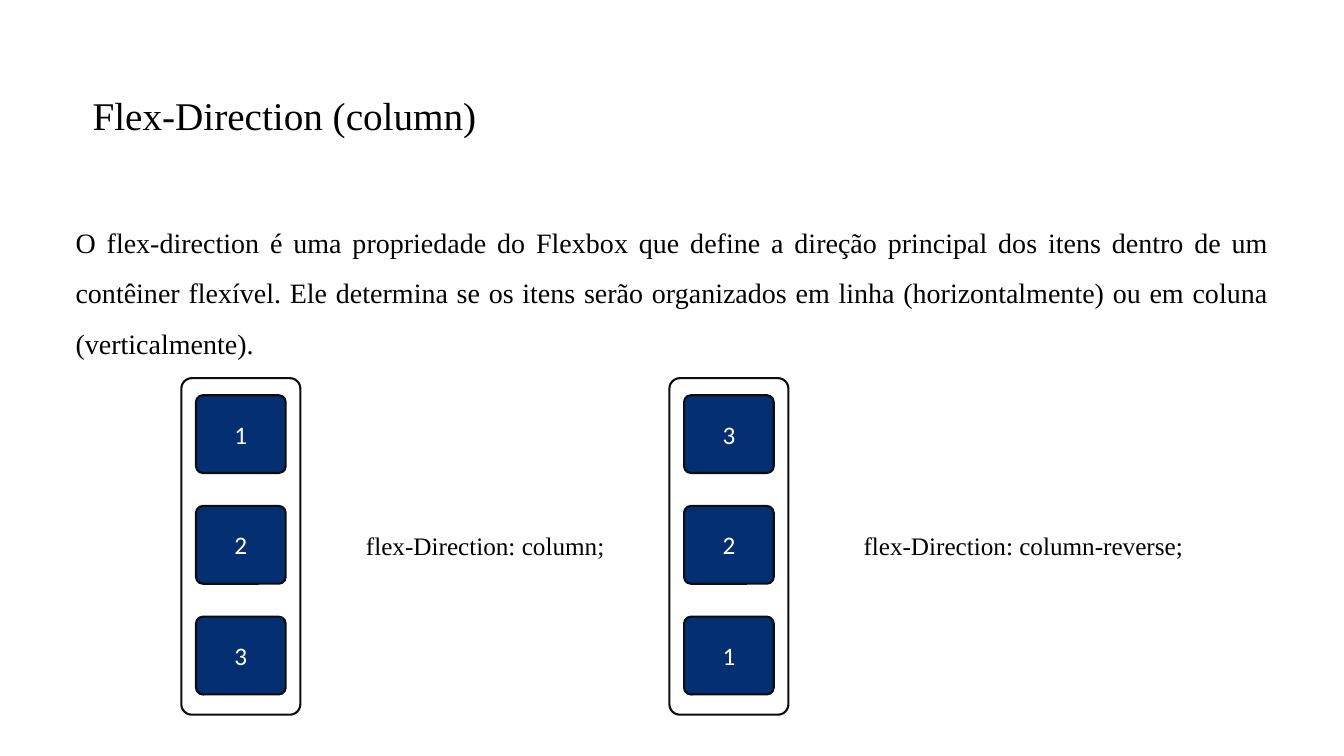
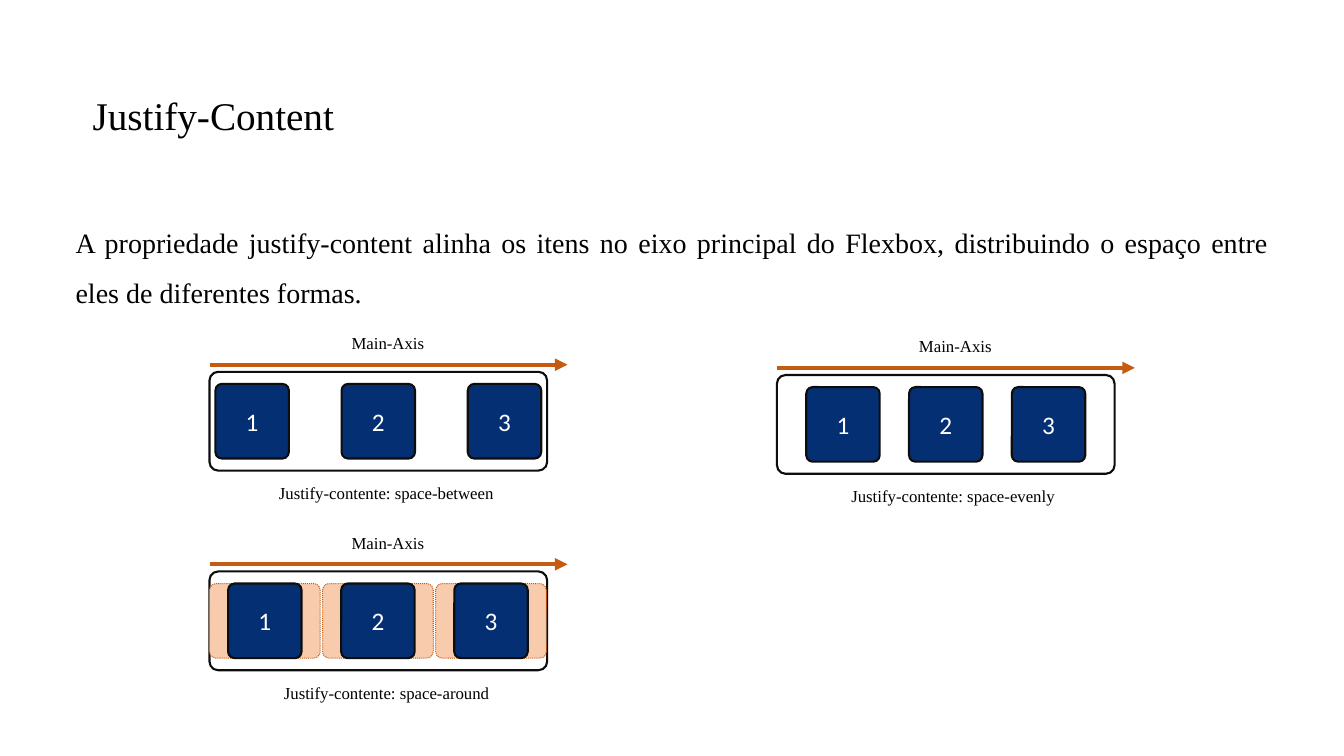
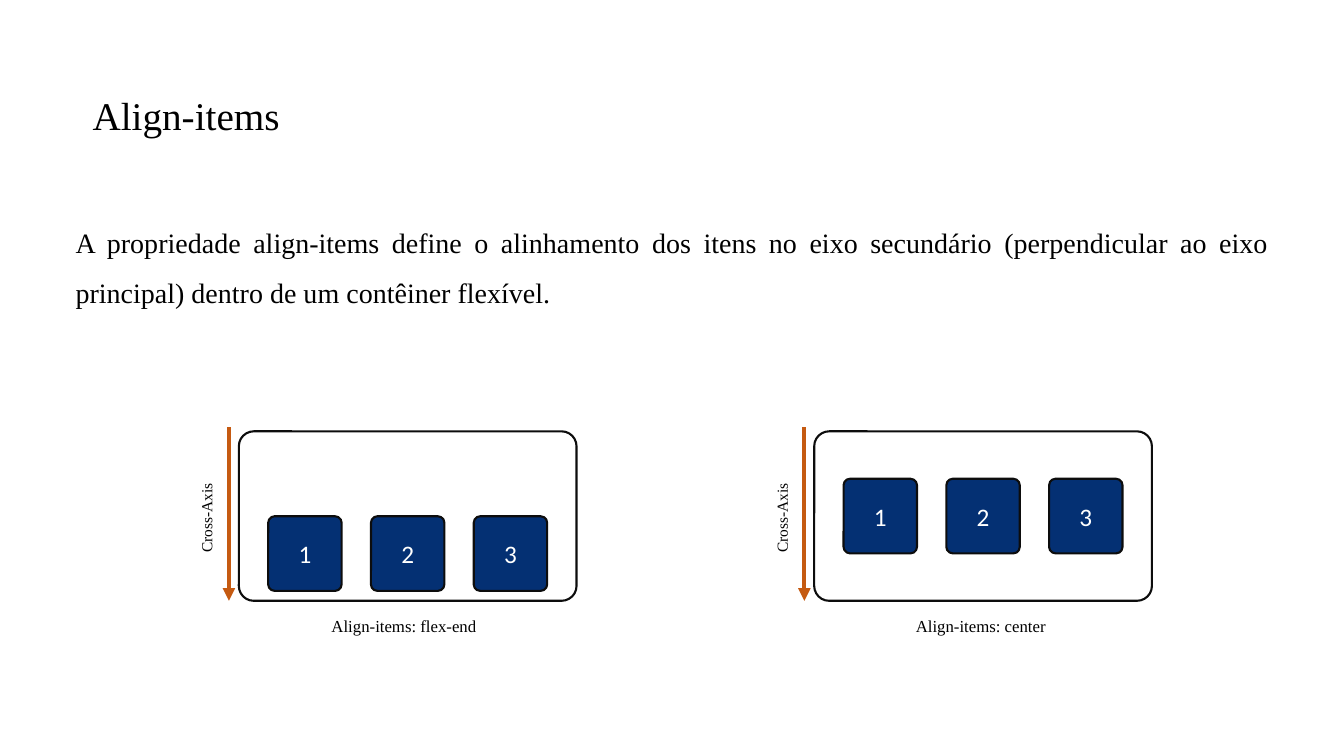
"""Builds three slides that explain Flexbox direction, justification and alignment."""
from lxml.etree import SubElement
from pptx import Presentation
from pptx.dml.color import RGBColor
from pptx.enum.dml import MSO_LINE
from pptx.enum.shapes import MSO_CONNECTOR, MSO_SHAPE
from pptx.enum.text import MSO_ANCHOR, MSO_AUTO_SIZE, PP_ALIGN
from pptx.oxml.ns import qn
from pptx.util import Cm, Pt

SERIF, SANS = "Times New Roman", "Calibri"
BLACK, WHITE, INK, NAVY = "000000", "FFFFFF", "0D0D0D", "043073"
ORANGE, PEACH = "C55A11", "F8CBAD"

DIRECTION = {
    "title": "Flex-Direction (column)",
    "body": "O flex-direction é uma propriedade do Flexbox que define a direção principal dos itens "
            "dentro de um contêiner flexível. Ele determina se os itens serão organizados em linha "
            "(horizontalmente) ou em coluna (verticalmente).",
    "columns": [
        (4.57, "123", "flex-Direction: column;", 12.23, 6.63),
        (16.87, "321", "flex-Direction: column-reverse;", 25.79, 8.71),
    ],
}
JUSTIFY = {
    "title": "Justify-Content",
    "body": "A propriedade justify-content alinha os itens no eixo principal do Flexbox, "
            "distribuindo o espaço entre eles de diferentes formas.",
    "rows": [
        (5.28, 9.37, "space-between", 6.02),
        (19.58, 9.45, "space-evenly", 5.77),
        (5.28, 14.4, "space-around", 5.77),
    ],
}
ALIGN = {
    "title": "Align-items",
    "body": "A propriedade align-items define o alinhamento dos itens no eixo secundário "
            "(perpendicular ao eixo principal) dentro de um contêiner flexível.",
    "rows": [(6.02, "flex-end", 4.34), (20.52, "center", 3.89)],
}

ROW_WIDTH, ROW_HEIGHT, TALL_HEIGHT = 8.51, 2.49, 4.27
ITEM_WIDTH, ITEM_HEIGHT = 1.85, 1.88
COLUMN_TOP, COLUMN_WIDTH, COLUMN_HEIGHT = 9.53, 3, 8.48
BLOCK_WIDTH, BLOCK_HEIGHT, BLOCK_PITCH = 2.26, 1.96, 2.79


def color(value):
    return RGBColor.from_string(value)


def add_text(paragraph, text, size, font=SERIF, ink=BLACK):
    run = paragraph.add_run()
    run.text = text
    run.font.size, run.font.name = Pt(size), font
    run.font.color.rgb = color(ink)


def place(shape, left, top, width, height):
    shape.left, shape.top = Cm(left), Cm(top)
    shape.width, shape.height = Cm(width), Cm(height)


def add_content_slide(presentation, content):
    slide = presentation.slides.add_slide(presentation.slide_layouts[1])
    title, body = slide.placeholders
    place(title, 2.08, 2.36, 26.14, 1.24)
    place(body, 1.65, 5.13, 30.58, 4.4)
    for placeholder, anchor in ((title, MSO_ANCHOR.MIDDLE), (body, MSO_ANCHOR.TOP)):
        placeholder.text_frame.auto_size = MSO_AUTO_SIZE.NONE
        placeholder.text_frame.vertical_anchor = anchor

    heading = title.text_frame.paragraphs[0]
    heading.alignment, heading.line_spacing = PP_ALIGN.LEFT, 0.9
    add_text(heading, content["title"], 28)

    paragraph = body.text_frame.paragraphs[0]
    properties = paragraph._p.get_or_add_pPr()
    properties.set("marL", "0")
    properties.set("indent", "0")
    SubElement(properties, qn("a:buNone"))
    paragraph.alignment, paragraph.line_spacing = PP_ALIGN.JUSTIFY, 1.5
    paragraph.space_before = Pt(0)
    add_text(paragraph, content["body"], 20)
    return slide


def add_box(slide, left, top, width, height, fill=WHITE, line=INK, weight=1.5):
    box = slide.shapes.add_shape(
        MSO_SHAPE.ROUNDED_RECTANGLE, Cm(left), Cm(top), Cm(width), Cm(height))
    box.adjustments[0] = 0.088
    box.shadow.inherit = False
    box.fill.solid()
    box.fill.fore_color.rgb = color(fill)
    box.line.color.rgb = color(line)
    box.line.width = Pt(weight)
    return box


def add_item(slide, left, top, number, width=ITEM_WIDTH, height=ITEM_HEIGHT):
    item = add_box(slide, left, top, width, height, NAVY)
    item.text_frame.vertical_anchor = MSO_ANCHOR.MIDDLE
    paragraph = item.text_frame.paragraphs[0]
    paragraph.alignment = PP_ALIGN.CENTER
    add_text(paragraph, str(number), 18, SANS, WHITE)


def add_label(slide, text, center, top, width, height=0.76, size=12, alignment=PP_ALIGN.LEFT):
    label = slide.shapes.add_textbox(Cm(center - width / 2), Cm(top), Cm(width), Cm(height))
    label.text_frame.word_wrap = True
    paragraph = label.text_frame.paragraphs[0]
    paragraph.alignment = alignment
    add_text(paragraph, text, size)
    return label


def add_arrow(slide, left, top, right, bottom):
    arrow = slide.shapes.add_connector(
        MSO_CONNECTOR.STRAIGHT, Cm(left), Cm(top), Cm(right), Cm(bottom))
    arrow.line.color.rgb = color(ORANGE)
    arrow.line.width = Pt(3)
    SubElement(arrow.line._get_or_add_ln(), qn("a:tailEnd"), type="triangle")
    SubElement(arrow._element.spPr, qn("a:effectLst"))


def item_offsets(mode):
    """Returns the left offsets of three items in a row."""
    free = ROW_WIDTH - 3 * ITEM_WIDTH
    margin, gap = {
        "space-between": (0.15, (free - 0.3) / 2),
        "space-evenly": (free / 4, free / 4),
        "space-around": (0.47, 1),
    }[mode]
    return [margin + index * (ITEM_WIDTH + gap) for index in range(3)]


def build_direction(presentation):
    slide = add_content_slide(presentation, DIRECTION)
    for left, numbers, text, center, width in DIRECTION["columns"]:
        add_box(slide, left, COLUMN_TOP, COLUMN_WIDTH, COLUMN_HEIGHT)
        for index, number in enumerate(numbers):
            add_item(slide, left + (COLUMN_WIDTH - BLOCK_WIDTH) / 2,
                     COLUMN_TOP + 0.43 + index * BLOCK_PITCH, number, BLOCK_WIDTH, BLOCK_HEIGHT)
        add_label(slide, text, center, COLUMN_TOP + COLUMN_HEIGHT / 2 - 0.53, width, 1.02, 18,
                  PP_ALIGN.CENTER)


def build_justify(presentation):
    slide = add_content_slide(presentation, JUSTIFY)
    arrow_length, share_margin = 9.02, 0.47
    for left, top, mode, caption_width in JUSTIFY["rows"]:
        add_box(slide, left, top, ROW_WIDTH, ROW_HEIGHT)
        item_top = top + (ROW_HEIGHT - ITEM_HEIGHT) / 2
        for number, offset in enumerate(item_offsets(mode), 1):
            if mode == "space-around":
                share = add_box(slide, left + offset - share_margin, item_top,
                                ITEM_WIDTH + 2 * share_margin, ITEM_HEIGHT, PEACH, ORANGE, 0.75)
                share.line.dash_style = MSO_LINE.ROUND_DOT
            add_item(slide, left + offset, item_top, number)
        center = left + arrow_length / 2
        add_arrow(slide, left, top - 0.18, left + arrow_length, top - 0.18)
        add_label(slide, "Main-Axis", center, top - 1.11, 2.36)
        add_label(slide, f"Justify-contente: {mode}", center, top + ROW_HEIGHT + 0.18,
                  caption_width)


def build_align(presentation):
    slide = add_content_slide(presentation, ALIGN)
    top = 10.87
    bottom, middle = top + TALL_HEIGHT, top + TALL_HEIGHT / 2
    item_tops = {"flex-end": bottom - 0.25 - ITEM_HEIGHT, "center": middle - ITEM_HEIGHT / 2}
    for left, mode, caption_width in ALIGN["rows"]:
        add_box(slide, left, top, ROW_WIDTH, TALL_HEIGHT)
        for number, offset in enumerate(item_offsets("space-evenly"), 1):
            add_item(slide, left + offset, item_tops[mode], number)
        add_arrow(slide, left - 0.25, top - 0.1, left - 0.25, bottom)
        axis = add_label(slide, "Cross-Axis", left - 0.81, middle - 0.37, 2.34, 0.74, 11)
        axis.rotation = 270
        add_label(slide, f"Align-items: {mode}", left + ROW_WIDTH / 2, bottom + 0.25,
                  caption_width)


def main():
    presentation = Presentation()
    presentation.slide_width, presentation.slide_height = Cm(33.87), Cm(19.05)
    for build in (build_direction, build_justify, build_align):
        build(presentation)
    presentation.save("out.pptx")


if __name__ == "__main__":
    main()
